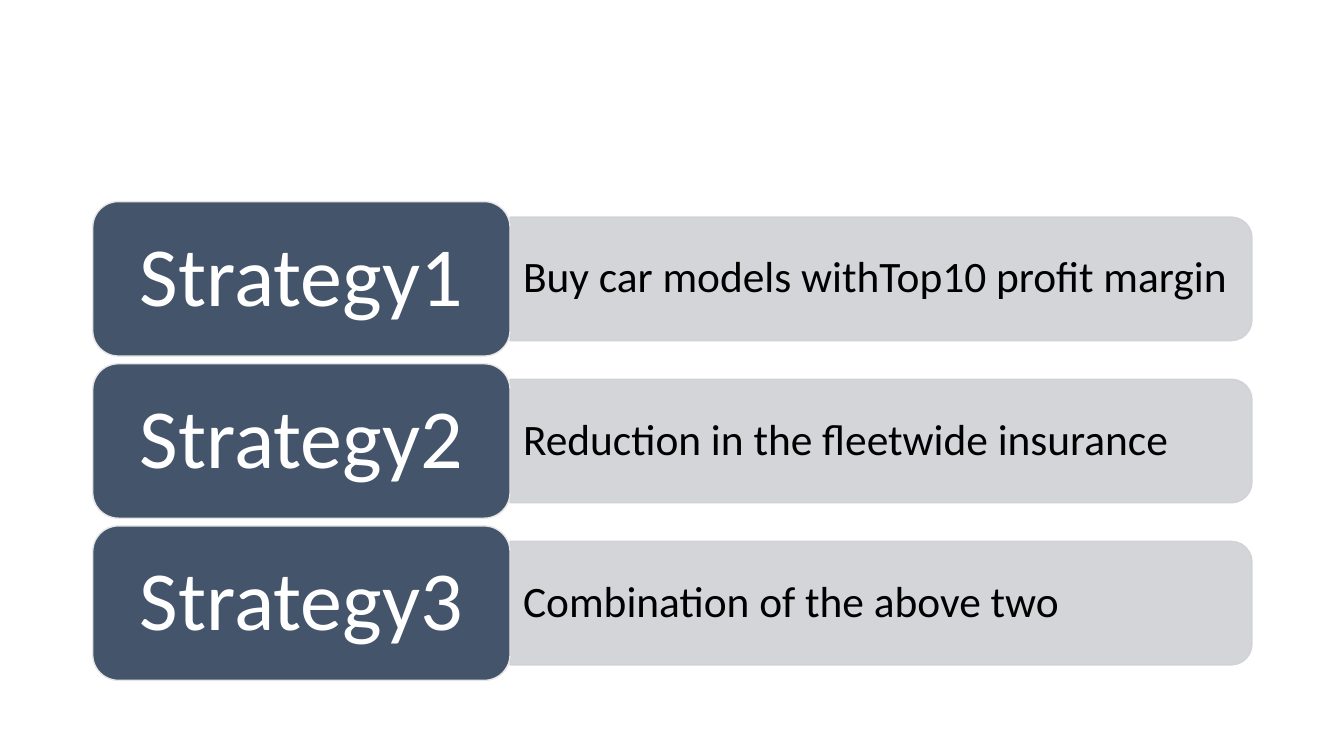
from dataclasses import dataclass

from lxml import etree
from pptx import Presentation
from pptx.dml.color import RGBColor
from pptx.enum import shapes, text
from pptx.oxml.ns import qn
from pptx.util import Inches, Pt


@dataclass(frozen=True)
class Theme:
    font: str = "Calibri"
    name_size: int = 60
    detail_size: int = 31
    card: str = "44546A"
    card_edge: str = "E7E6E6"
    bar: str = "CFD1D4"
    bar_opacity: int = 90
    on_card: str = "FFFFFF"
    on_bar: str = "000000"


def write(frame, words, *, font, size, color, align, inset):
    frame.word_wrap = True
    frame.vertical_anchor = text.MSO_ANCHOR.MIDDLE
    frame.margin_left = frame.margin_right = Inches(inset)
    frame.margin_top = frame.margin_bottom = Inches(inset / 2)
    paragraph = frame.paragraphs[0]
    paragraph.alignment = align
    paragraph.line_spacing = 0.9
    run = paragraph.add_run()
    run.text = words
    run.font.name = font
    run.font.size = Pt(size)
    run.font.color.rgb = RGBColor.from_string(color)


class StrategySlide:
    # Content area, as shares of the slide's size
    LEFT, TOP, WIDTH, HEIGHT = 0.069, 0.2667, 0.8625, 0.6333
    # Cards take a share of the row's width; bars and gaps, of a card's height
    CARD_SHARE, BAR_SHARE, GAP_SHARE = 0.36, 0.8, 0.05

    def __init__(self, deck, theme, row_count):
        self.theme = theme
        self.slide = deck.slides.add_slide(deck.slide_layouts[6])
        self.left = deck.slide_width * self.LEFT
        self.top = deck.slide_height * self.TOP
        width = deck.slide_width * self.WIDTH
        self.card_width = width * self.CARD_SHARE
        self.bar_width = width - self.card_width
        units = row_count + (row_count - 1) * self.GAP_SHARE
        self.card_height = deck.slide_height * self.HEIGHT / units
        self.bar_height = self.card_height * self.BAR_SHARE
        self.pitch = self.card_height * (1 + self.GAP_SHARE)

    def panel(self, kind, box, fill, edge, opacity=100):
        panel = self.slide.shapes.add_shape(kind, *map(round, box))
        panel.shadow.inherit = False
        panel.line.width = Pt(1)
        for paint, color in ((panel.fill, fill), (panel.line.fill, edge)):
            paint.solid()
            paint.fore_color.rgb = RGBColor.from_string(color)
        if opacity < 100:
            for tone in panel._element.spPr.iter(qn("a:srgbClr")):
                etree.SubElement(tone, qn("a:alpha"), val=str(opacity * 1000))
        return panel

    def bar(self, row, detail):
        theme = self.theme
        left = self.left + self.card_width
        middle = self.top + row * self.pitch + self.card_height / 2
        # A quarter turn puts the rounded corners on the right
        box = (left + (self.bar_width - self.bar_height) / 2,
               middle - self.bar_width / 2, self.bar_height, self.bar_width)
        self.panel(shapes.MSO_SHAPE.ROUND_2_SAME_RECTANGLE, box, theme.bar,
                   theme.bar, theme.bar_opacity).rotation = 90
        label = self.slide.shapes.add_textbox(*map(round, (
            left, middle - self.bar_height / 2, self.bar_width, self.bar_height)))
        write(label.text_frame, detail, font=theme.font, size=theme.detail_size,
              color=theme.on_bar, align=text.PP_ALIGN.LEFT, inset=0.13)

    def card(self, row, name):
        theme = self.theme
        box = (self.left, self.top + row * self.pitch,
               self.card_width, self.card_height)
        card = self.panel(shapes.MSO_SHAPE.ROUNDED_RECTANGLE, box,
                          theme.card, theme.card_edge)
        write(card.text_frame, name, font=theme.font, size=theme.name_size,
              color=theme.on_card, align=text.PP_ALIGN.CENTER, inset=0.25)


# Content
strategies = [
    ("Strategy1", "Buy car models withTop10 profit margin"),
    ("Strategy2", "Reduction in the fleetwide insurance"),
    ("Strategy3", "Combination of the above two"),
]

# Slide
deck = Presentation()
deck.slide_width, deck.slide_height = Inches(13.33), Inches(7.5)
board = StrategySlide(deck, Theme(), len(strategies))
for row, (name, detail) in enumerate(strategies):
    board.bar(row, detail)
    board.card(row, name)

deck.save("out.pptx")
